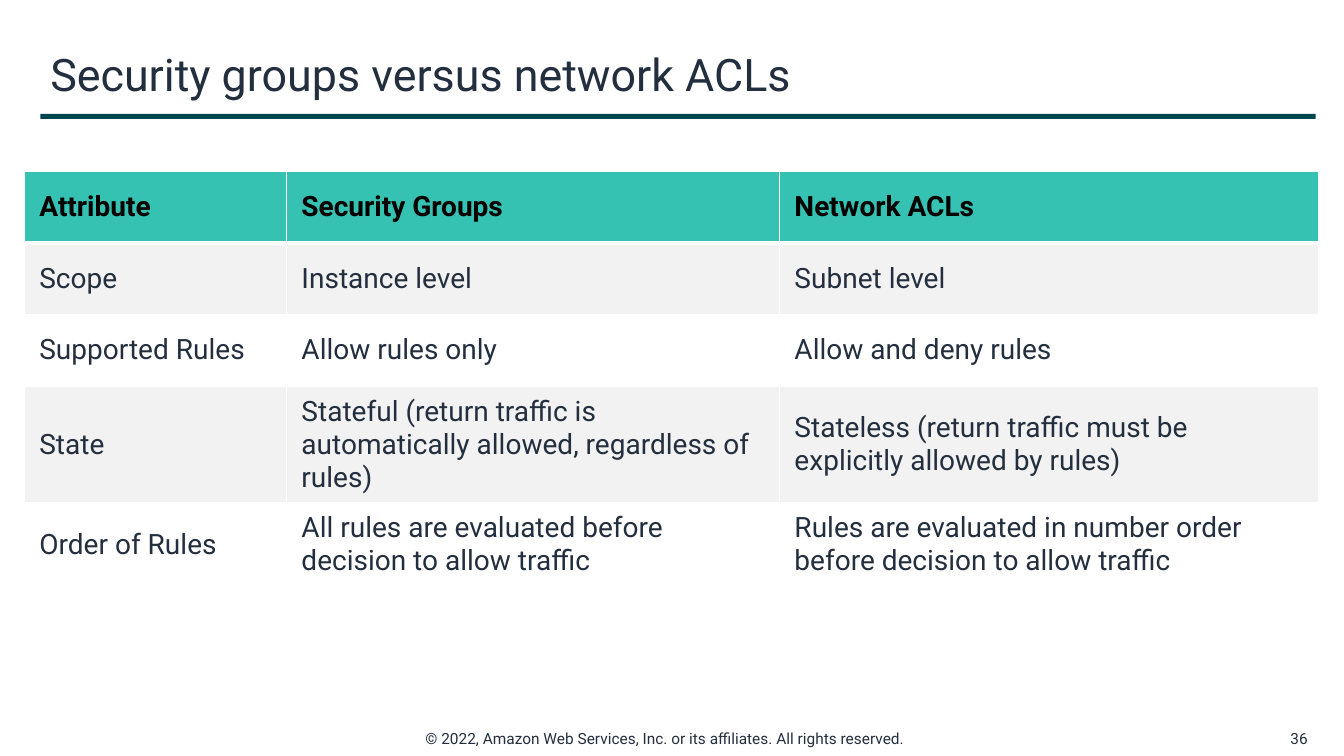
from dataclasses import dataclass

from lxml.etree import SubElement
from pptx import Presentation
from pptx.dml.color import RGBColor
from pptx.enum.shapes import MSO_SHAPE
from pptx.enum.text import MSO_ANCHOR, PP_ALIGN
from pptx.oxml.ns import qn
from pptx.util import Emu, Pt

EMU_PER_PX = 9144  # 100 px to the inch
FONT = "Roboto"
INK, BLACK, WHITE = "232F3E", "000000", "FFFFFF"
RULE_GREEN, HEADER_TEAL, BAND_GREY = "00464F", "36C2B3", "F2F2F2"

COLUMN_WIDTHS = (260, 489, 535)
ROW_HEIGHT = 71
COMPARISON = (
    ("Attribute", "Security Groups", "Network ACLs"),
    ("Scope", "Instance level", "Subnet level"),
    ("Supported Rules", "Allow rules only", "Allow and deny rules"),
    ("State",
     "Stateful (return traffic is automatically allowed, regardless of rules)",
     "Stateless (return traffic must be explicitly allowed by rules)"),
    ("Order of Rules",
     "All rules are evaluated before decision to allow traffic",
     "Rules are evaluated in number order before decision to allow traffic"),
)


@dataclass(frozen=True)
class Label:
    text: str
    left: int
    top: int
    width: int
    height: int
    size: int
    align: PP_ALIGN = PP_ALIGN.LEFT
    anchor: MSO_ANCHOR = MSO_ANCHOR.MIDDLE
    wrap: bool = True


LABELS = (
    Label("© 2022, Amazon Web Services, Inc. or its affiliates. All rights reserved.",
          412, 718, 509, 29, 11, anchor=MSO_ANCHOR.TOP, wrap=False),
    Label("36", 1254, 718, 53, 29, 11, align=PP_ALIGN.RIGHT),
    Label("Security groups versus network ACLs", 40, 33, 1265, 80, 32),
)


def px(length: int) -> Emu:
    return Emu(length * EMU_PER_PX)


def color(value: str) -> RGBColor:
    return RGBColor.from_string(value)


def style_font(paragraph, size: int, ink: str, bold: bool = False) -> None:
    font = paragraph.font
    font.name, font.size, font.bold = FONT, Pt(size), bold
    font.color.rgb = color(ink)


def add_label(page, label: Label) -> None:
    box = page.shapes.add_textbox(
        px(label.left), px(label.top), px(label.width), px(label.height))
    frame = box.text_frame
    frame.word_wrap = label.wrap
    frame.vertical_anchor = label.anchor
    paragraph = frame.paragraphs[0]
    paragraph.text = label.text
    paragraph.alignment = label.align
    style_font(paragraph, label.size, INK)


def add_title_rule(page) -> None:
    rule = page.shapes.add_shape(
        MSO_SHAPE.RECTANGLE, px(40), px(113), px(1265), px(5))
    rule.shadow.inherit = False
    rule.fill.solid()
    rule.fill.fore_color.rgb = color(RULE_GREEN)
    rule.line.fill.background()


def add_borders(cell, top: int, bottom: int) -> None:
    """Draw white cell borders; must run before the cell gets its fill."""
    properties = cell._tc.get_or_add_tcPr()
    for side, points in (("L", 1), ("R", 1), ("T", top), ("B", bottom)):
        line = SubElement(properties, qn(f"a:ln{side}"), w=str(Pt(points)))
        fill = SubElement(line, qn("a:solidFill"))
        SubElement(fill, qn("a:srgbClr"), val=WHITE)


def fill_cell(cell, text: str, row: int) -> None:
    is_header = row == 0
    add_borders(cell, top=3 if row == 1 else 1, bottom=3 if is_header else 1)
    cell.fill.solid()
    band = BAND_GREY if row % 2 else WHITE
    cell.fill.fore_color.rgb = color(HEADER_TEAL if is_header else band)
    cell.margin_left = cell.margin_right = px(15)
    cell.margin_top = cell.margin_bottom = px(8)
    cell.vertical_anchor = MSO_ANCHOR.MIDDLE
    cell.text = text
    style_font(cell.text_frame.paragraphs[0], 20,
               BLACK if is_header else INK, bold=is_header)


def add_comparison(page) -> None:
    table = page.shapes.add_table(
        len(COMPARISON), len(COLUMN_WIDTHS), px(24), px(170),
        px(sum(COLUMN_WIDTHS)), px(ROW_HEIGHT * len(COMPARISON))).table
    for column, width in zip(table.columns, COLUMN_WIDTHS):
        column.width = px(width)
    for row, texts in enumerate(COMPARISON):
        table.rows[row].height = px(ROW_HEIGHT)
        for column, text in enumerate(texts):
            fill_cell(table.cell(row, column), text, row)


def main() -> None:
    deck = Presentation()
    deck.slide_width, deck.slide_height = px(1333), px(750)
    page = deck.slides.add_slide(deck.slide_layouts[6])
    add_title_rule(page)
    for label in LABELS:
        add_label(page, label)
    add_comparison(page)
    deck.save("out.pptx")


if __name__ == "__main__":
    main()
